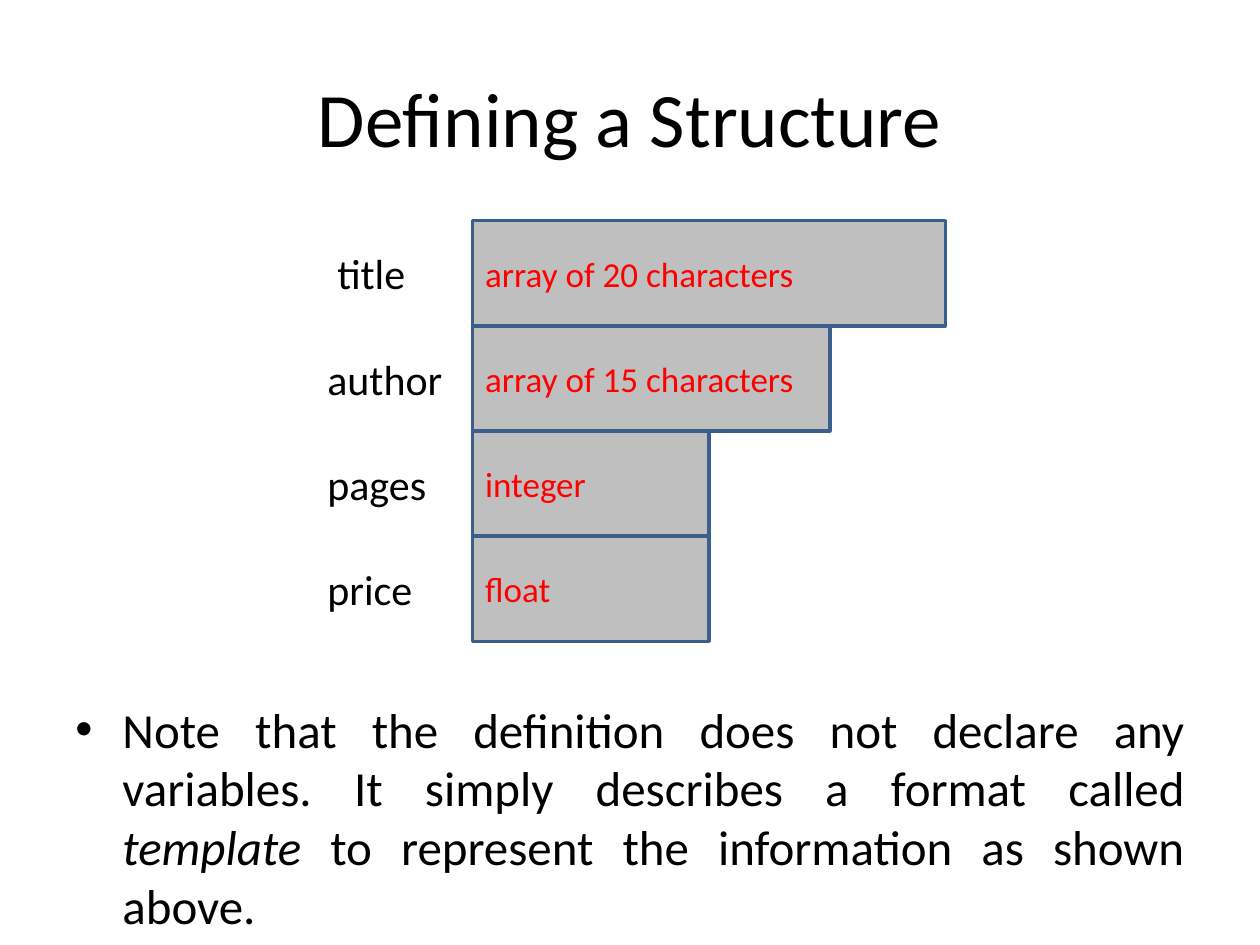
from dataclasses import dataclass

from lxml.etree import SubElement
from pptx import Presentation
from pptx.dml.color import RGBColor as Rgb
from pptx.enum.shapes import MSO_SHAPE as Preset
from pptx.enum.text import MSO_ANCHOR as Anchor, MSO_AUTO_SIZE as AutoSize, PP_ALIGN as Align
from pptx.oxml.ns import qn
from pptx.util import Cm, Pt


@dataclass(frozen=True)
class Theme:
    font: str = "Calibri"
    ink: str = "000000"
    type_ink: str = "FF0000"
    field_fill: str = "BFBFBF"
    field_line: str = "3A5F8C"
    title_size: int = 44
    note_size: int = 28
    label_size: int = 24
    type_size: int = 20


class StructureSlide:
    """Holds the theme and the slide being filled."""

    def __init__(self, deck, theme):
        self.theme = theme
        self.slide = deck.slides.add_slide(deck.slide_layouts[5])

    def add_run(self, paragraph, text, size, color, italic=False):
        run = paragraph.add_run()
        run.text = text
        font = run.font
        font.name, font.size, font.italic = self.theme.font, Pt(size), italic
        font.color.rgb = Rgb.from_string(color)

    def title(self, text, left, top, width, height):
        heading = self.slide.shapes.title
        heading.left, heading.top = Cm(left), Cm(top)
        heading.width, heading.height = Cm(width), Cm(height)
        frame = heading.text_frame
        frame.vertical_anchor = Anchor.MIDDLE
        paragraph = frame.paragraphs[0]
        paragraph.alignment = Align.CENTER
        self.add_run(paragraph, text, self.theme.title_size, self.theme.ink)

    def field(self, type_text, left, top, width, height):
        box = self.slide.shapes.add_shape(
            Preset.RECTANGLE, Cm(left), Cm(top), Cm(width), Cm(height))
        box.shadow.inherit = False
        box.fill.solid()
        box.fill.fore_color.rgb = Rgb.from_string(self.theme.field_fill)
        box.line.color.rgb = Rgb.from_string(self.theme.field_line)
        box.line.width = Pt(2)
        box.text_frame.vertical_anchor = Anchor.MIDDLE
        paragraph = box.text_frame.paragraphs[0]
        paragraph.alignment = Align.LEFT
        self.add_run(paragraph, type_text, self.theme.type_size, self.theme.type_ink)

    def label(self, text, left, top, width, height):
        box = self.slide.shapes.add_textbox(Cm(left), Cm(top), Cm(width), Cm(height))
        frame = box.text_frame
        frame.word_wrap = False
        frame.auto_size = AutoSize.SHAPE_TO_FIT_TEXT
        self.add_run(frame.paragraphs[0], text, self.theme.label_size, self.theme.ink)

    def note(self, parts, left, top, width, height):
        """Add one justified bullet from (text, italic) parts."""
        box = self.slide.shapes.add_textbox(Cm(left), Cm(top), Cm(width), Cm(height))
        frame = box.text_frame
        frame.word_wrap = True
        paragraph = frame.paragraphs[0]
        paragraph.alignment = Align.JUSTIFY
        paragraph.space_before = Pt(3)
        for text, italic in parts:
            self.add_run(paragraph, text, self.theme.note_size, self.theme.ink, italic)
        properties = paragraph._p.get_or_add_pPr()
        indent = Cm(0.95)
        properties.set("marL", str(indent))
        properties.set("indent", str(-indent))
        SubElement(properties, qn("a:buFont"), typeface="Arial")
        SubElement(properties, qn("a:buChar"), char="•")


def main():
    deck = Presentation()
    deck.slide_width, deck.slide_height = Cm(25.4), Cm(19.05)
    page = StructureSlide(deck, Theme())

    margin, content_width = 1.27, 22.86
    page.title("Defining a Structure", margin, 0.76, content_width, 3.18)
    page.note(
        [("Note that the definition does not declare any variables. "
          "It simply describes a format called ", False),
         ("template", True),
         (" to represent the information as shown above.", False)],
        margin, 13.97, content_width, 4.65)

    # member, label left, label width, type, field width
    members = [
        ("title", 6.55, 1.9, "array of 20 characters", 9.53),
        ("author", 6.35, 2.84, "array of 15 characters", 7.2),
        ("pages", 6.35, 2.54, "integer", 4.76),
        ("price", 6.35, 2.24, "float", 4.76),
    ]
    first_top, row_height, field_left = 4.45, 2.12, 9.53
    label_height = 1.27
    label_offset = (row_height - label_height) / 2
    for row, (member, label_left, label_width, type_text, field_width) in enumerate(members):
        top = first_top + row * row_height
        page.field(type_text, field_left, top, field_width, row_height)
        page.label(member, label_left, top + label_offset, label_width, label_height)

    deck.save("out.pptx")


if __name__ == "__main__":
    main()
